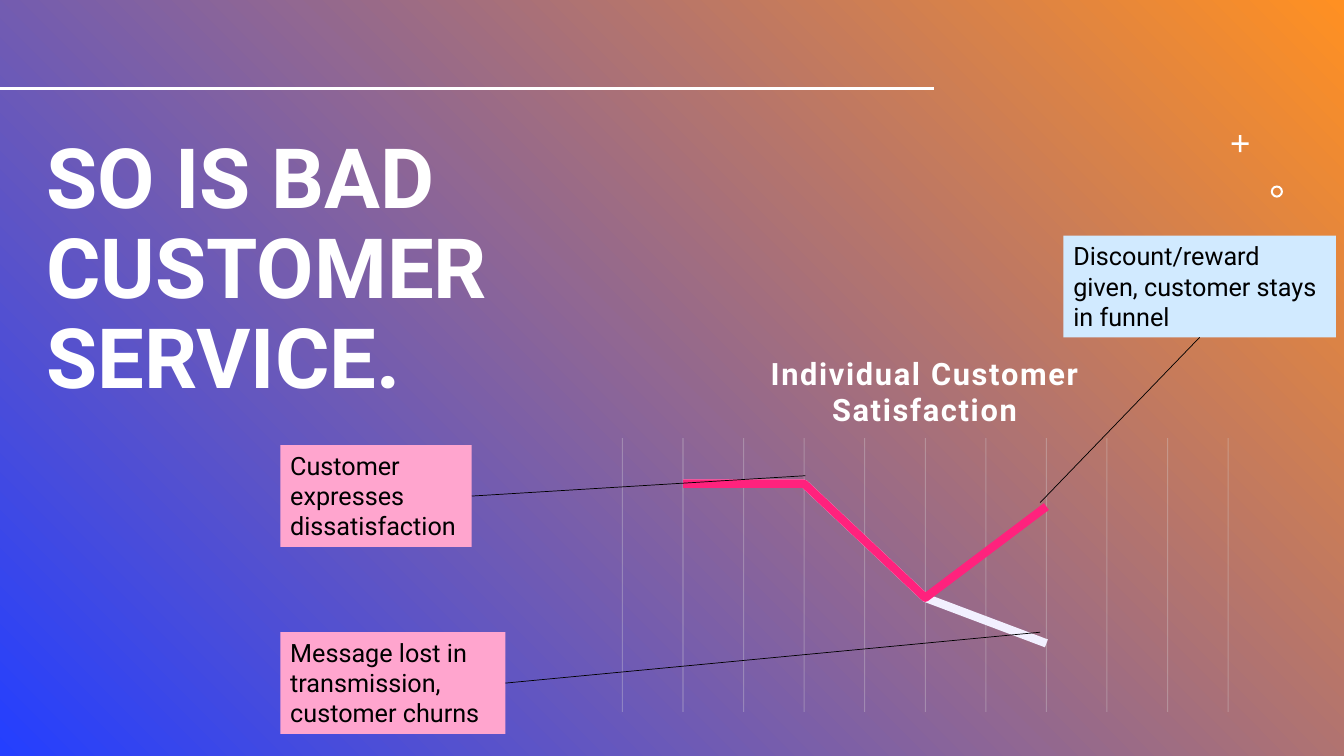
import pptx
import pptx.chart.data
import pptx.dml.color
import pptx.enum.chart
import pptx.enum.shapes
import pptx.enum.text
import pptx.oxml
import pptx.oxml.ns
import pptx.util

Pt = pptx.util.Pt
qn = pptx.oxml.ns.qn
SHAPE = pptx.enum.shapes.MSO_SHAPE
NAMESPACES = pptx.oxml.ns.nsdecls("a", "c")
FONT = "Roboto"
WHITE, BLACK = "FFFFFF", "000000"
BLUE, ORANGE = "243FFF", "FF9022"
PINK, SKY = "FFA5CE", "D1EAFF"
LILAC, MAGENTA, GRID = "F2F0FF", "FF227D", "D9D9D9"


def rgb(value):
    return pptx.dml.color.RGBColor.from_string(value)


def add_run(paragraph, text, size, color, bold=False):
    run = paragraph.add_run()
    run.text = text
    run.font.name = FONT
    run.font.size = Pt(size)
    run.font.bold = bold
    run.font.color.rgb = rgb(color)
    return run


def style_solid(shape, color):
    shape.fill.solid()
    shape.fill.fore_color.rgb = rgb(color)
    shape.line.fill.background()
    shape.shadow.inherit = False


def add_line(slide, start, end, color, weight):
    line = slide.shapes.add_connector(
        pptx.enum.shapes.MSO_CONNECTOR.STRAIGHT, *map(Pt, (*start, *end)))
    line.line.color.rgb = rgb(color)
    line.line.width = Pt(weight)
    line.element.spPr.append(pptx.oxml.parse_xml(f"<a:effectLst {NAMESPACES}/>"))


def add_background(slide, width, height):
    """Place the diagonal gradient behind everything, the title included."""
    backdrop = slide.shapes.add_shape(SHAPE.RECTANGLE, 0, 0, Pt(width), Pt(height))
    backdrop.fill.gradient()
    backdrop.fill.gradient_angle = 45
    for stop, color, position in zip(backdrop.fill.gradient_stops, (BLUE, ORANGE), (0, 1)):
        stop.color.rgb = rgb(color)
        stop.position = position
    backdrop.line.fill.background()
    backdrop.shadow.inherit = False
    slide.shapes.element.insert(2, backdrop.element)


def add_title(slide, left, top, width, height):
    title = slide.shapes.title
    title.left, title.top, title.width, title.height = map(Pt, (left, top, width, height))
    frame = title.text_frame
    frame.word_wrap = True
    frame.auto_size = pptx.enum.text.MSO_AUTO_SIZE.NONE
    frame.vertical_anchor = pptx.enum.text.MSO_ANCHOR.BOTTOM
    heading = frame.paragraphs[0]
    heading.alignment = pptx.enum.text.PP_ALIGN.LEFT
    heading.line_spacing = 0.9
    add_run(heading, "SO IS BAD CUSTOMER SERVICE.", 59.4, WHITE, bold=True)


def add_ornaments(slide, left, top):
    """Draw a plus and, below it to the right, a ring."""
    size, arm = 12.2, 1.8
    near, far = (size - arm) / 2, (size + arm) / 2
    outline = [(near, 0), (far, 0), (far, near), (size, near), (size, far), (far, far),
               (far, size), (near, size), (near, far), (0, far), (0, near), (near, near)]
    corners = [(Pt(left + x), Pt(top + y)) for x, y in outline]
    builder = slide.shapes.build_freeform(*corners[0])
    builder.add_line_segments(corners[1:], close=True)
    style_solid(builder.convert_to_shape(), WHITE)

    ring = slide.shapes.add_shape(
        SHAPE.DONUT, Pt(left + 28), Pt(top + 36), Pt(8.7), Pt(8.7))
    ring.adjustments[0] = 0.17
    style_solid(ring, WHITE)


def set_layout(parent, index, fractions, target=""):
    """Fix a chart part at fractions (x, y and perhaps w, h) of the chart."""
    for old in parent.findall(qn("c:layout")):
        parent.remove(old)
    names = ("x", "y", "w", "h")[:len(fractions)]
    modes = "".join(f'<c:{name}Mode val="edge"/>' for name in names[:2])
    values = "".join(f'<c:{name} val="{value}"/>' for name, value in zip(names, fractions))
    parent.insert(index, pptx.oxml.parse_xml(
        f"<c:layout {NAMESPACES}><c:manualLayout>{target}{modes}{values}"
        "</c:manualLayout></c:layout>"))


def add_satisfaction_chart(slide, left, top, width, height):
    data = pptx.chart.data.CategoryChartData()
    data.categories = ["1", "2", "3", "4", ""]
    data.add_series("Series 1", (100, 100, 50, 30, None))
    data.add_series("Series 2", (100, 100, 50, 90, None))
    chart = slide.shapes.add_chart(
        pptx.enum.chart.XL_CHART_TYPE.LINE, *map(Pt, (left, top, width, height)), data).chart
    chart.has_legend = False
    chart.font.name = FONT
    chart.font.size = Pt(10)
    chart.font.color.rgb = rgb(BLACK)

    chart.has_title = True
    title = chart.chart_title.text_frame
    for paragraph, words in zip((title.paragraphs[0], title.add_paragraph()),
                                ("Individual Customer", "Satisfaction")):
        paragraph.alignment = pptx.enum.text.PP_ALIGN.CENTER
        run = add_run(paragraph, words, 22, WHITE, bold=True)
        run.font._element.set("spc", "130")

    chart.value_axis.minimum_scale = 0
    chart.value_axis.maximum_scale = 120
    chart.value_axis.has_major_gridlines = False
    chart.value_axis.visible = False
    steps = chart.category_axis
    steps.visible = False
    steps.has_major_gridlines = steps.has_minor_gridlines = True
    grid_tags = ("c:majorGridlines", "c:minorGridlines")
    for tag in grid_tags:
        grid = steps._element.find(qn(tag))
        grid.append(pptx.oxml.parse_xml(
            f'<c:spPr {NAMESPACES}><a:ln w="{Pt(0.75)}"><a:solidFill><a:srgbClr val="{GRID}">'
            '<a:alpha val="32000"/></a:srgbClr></a:solidFill></a:ln></c:spPr>'))

    chart.plots[0].vary_by_categories = False
    for series, color in zip(chart.plots[0].series, (LILAC, MAGENTA)):
        series.smooth = False
        series.format.line.color.rgb = rgb(color)
        series.format.line.width = Pt(6)

    chart_part = chart._chartSpace.find(qn("c:chart"))
    plot_area = chart_part.find(qn("c:plotArea"))
    set_layout(chart_part.find(qn("c:title")), 1, (0.25, 0.06))
    set_layout(plot_area, 0, (0.02, 0.28, 0.96, 0.7), '<c:layoutTarget val="inner"/>')
    clear = f"<c:spPr {NAMESPACES}><a:noFill/><a:ln><a:noFill/></a:ln></c:spPr>"
    plot_area.append(pptx.oxml.parse_xml(clear))
    chart_part.addnext(pptx.oxml.parse_xml(clear))


def add_callout(slide, box, lines, color, target, from_bottom=False):
    """Draw a label and a thin line from its right or bottom edge to the target."""
    left, top, width, height = box
    label = slide.shapes.add_shape(SHAPE.RECTANGLE, *map(Pt, box))
    style_solid(label, color)
    frame = label.text_frame
    frame.word_wrap = True
    frame.vertical_anchor = pptx.enum.text.MSO_ANCHOR.TOP
    message = frame.paragraphs[0]
    message.alignment = pptx.enum.text.PP_ALIGN.LEFT
    for number, line in enumerate(lines):
        if number:
            message.add_line_break()
        add_run(message, line, 18, BLACK)
    start = (left + width / 2, top + height) if from_bottom else (left + width, top + height / 2)
    add_line(slide, start, target, BLACK, 0.5)


def main():
    deck = pptx.Presentation()
    deck.slide_width, deck.slide_height = Pt(960), Pt(540)
    slide = deck.slides.add_slide(deck.slide_layouts[5])
    add_background(slide, 960, 540)
    add_title(slide, 26, 96.5, 558.7, 197.3)
    add_line(slide, (0, 63.2), (667, 63.2), WHITE, 2)
    add_ornaments(slide, 879.7, 96.5)
    add_satisfaction_chart(slide, 435.6, 234.7, 450.7, 279.4)
    add_callout(slide, (200.2, 318, 136.8, 72.7),
                ("Customer expresses", "dissatisfaction"), PINK, (575.3, 339.8))
    add_callout(slide, (759.6, 168.3, 194.6, 72.7),
                ("Discount/reward given, customer stays in funnel",), SKY, (743, 359), True)
    add_callout(slide, (200.2, 451.6, 160.8, 72.7),
                ("Message lost in transmission, customer churns",), PINK, (743, 451.6))
    deck.save("out.pptx")


if __name__ == "__main__":
    main()
